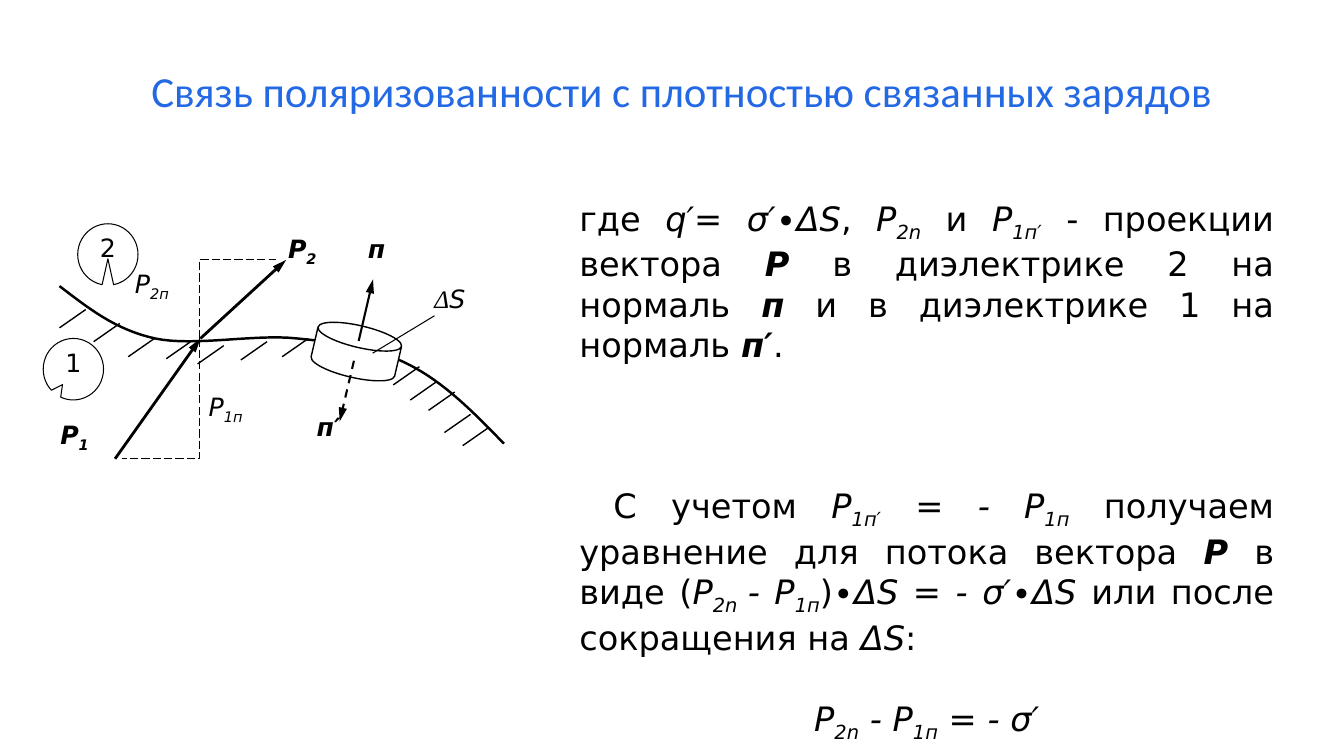
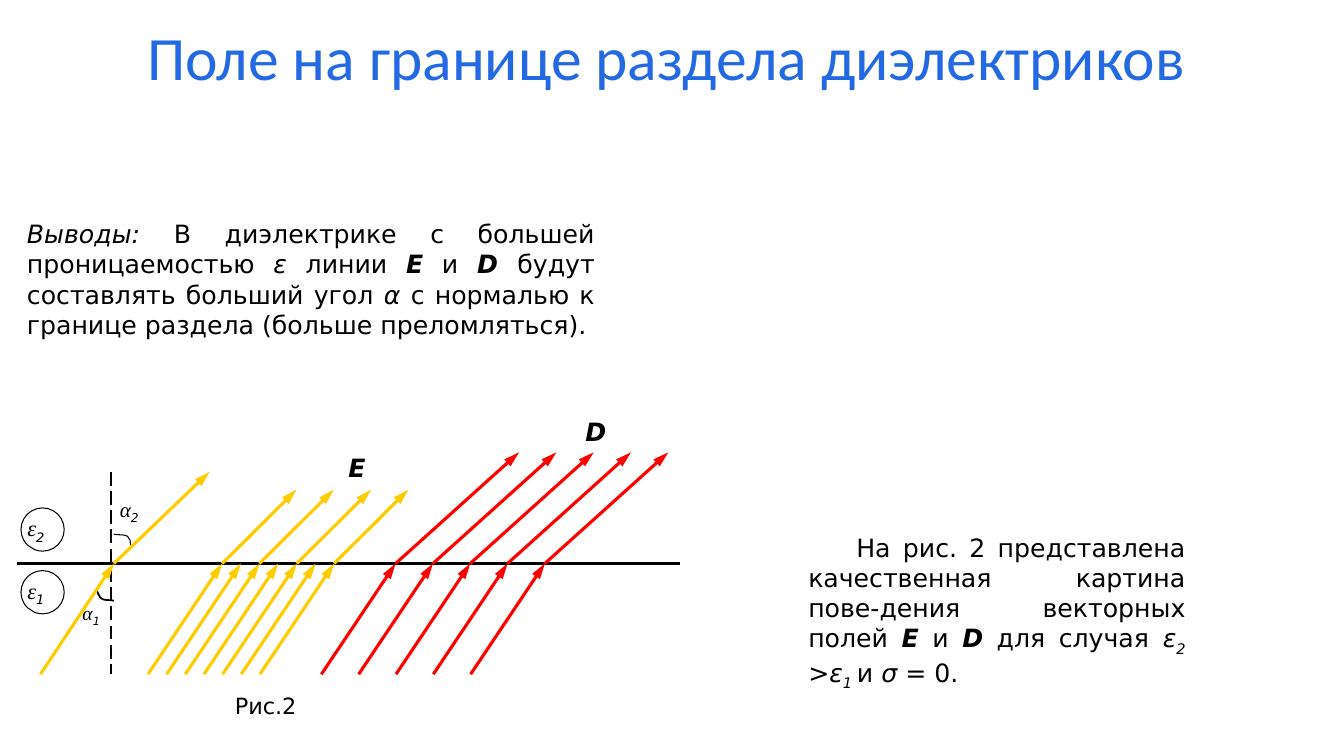
from dataclasses import dataclass
from typing import NamedTuple, Sequence

from pptx import Presentation
from pptx.dml.color import RGBColor
from pptx.enum.dml import MSO_LINE
from pptx.enum.shapes import MSO_CONNECTOR, MSO_SHAPE
from pptx.enum.text import MSO_ANCHOR, MSO_AUTO_SIZE, PP_ALIGN
from pptx.oxml.xmlchemy import OxmlElement
from pptx.shapes.base import BaseShape
from pptx.slide import Slide
from pptx.text.text import TextFrame
from pptx.util import Cm, Pt

# Shared look
COLORS = {"title": "2469E4", "ink": "000000", "paper": "FFFFFF",
          "field_e": "FFCC00", "field_d": "FF0000"}
TITLE_FONT, TEXT_FONT, GREEK_FONT = "Calibri", "DejaVu Sans", "Times New Roman"
LEFT, CENTER, JUSTIFY = PP_ALIGN.LEFT, PP_ALIGN.CENTER, PP_ALIGN.JUSTIFY
Point = tuple[float, float]


class Run(NamedTuple):
    text: str
    style: str = ""  # b bold, i italic, s subscript, g Greek font


class Box(NamedTuple):
    left: float
    top: float
    width: float
    height: float


@dataclass
class TextBlock:
    runs: Sequence[Run]
    align: PP_ALIGN = JUSTIFY
    space_before: float = 0
    indent: float = 0


@dataclass
class Label:
    box: Box
    runs: Sequence[Run]
    size: float = 18
    align: PP_ALIGN = LEFT


@dataclass
class Callout:
    label: Label
    adjustments: Sequence[float]
    kind: MSO_SHAPE = MSO_SHAPE.OVAL_CALLOUT


@dataclass
class RayBundle:
    first_x: float
    pitch: float
    count: int
    run_x: float
    from_y: float
    to_y: float
    color: str


def rgb(name: str) -> RGBColor:
    return RGBColor.from_string(COLORS[name])


# Text
def write(frame: TextFrame, blocks: Sequence[TextBlock], size: float) -> None:
    frame.word_wrap = True
    frame.vertical_anchor = MSO_ANCHOR.TOP
    for index, block in enumerate(blocks):
        paragraph = frame.add_paragraph() if index else frame.paragraphs[0]
        paragraph.alignment = block.align
        if block.space_before:
            paragraph.space_before = Pt(block.space_before)
        if block.indent:
            paragraph._p.get_or_add_pPr().set("indent", str(Cm(block.indent)))
        font = paragraph.font
        font.name, font.size = TEXT_FONT, Pt(size)
        font.color.rgb = rgb("ink")
        for text, style in block.runs:
            run = paragraph.add_run()
            run.text = text
            if "b" in style:
                run.font.bold = True
            if "i" in style:
                run.font.italic = True
            if "g" in style:
                run.font.name = GREEK_FONT
            if "s" in style:
                run._r.get_or_add_rPr().set("baseline", "-25000")


def write_label(frame: TextFrame, label: Label) -> None:
    frame.margin_left = frame.margin_top = Cm(0)
    frame.margin_right = frame.margin_bottom = Cm(0)
    write(frame, [TextBlock(label.runs, label.align)], label.size)


def add_label(slide: Slide, label: Label) -> None:
    textbox = slide.shapes.add_textbox(*map(Cm, label.box))
    write_label(textbox.text_frame, label)


def add_body(slide: Slide, box: Box, blocks: Sequence[TextBlock], size: float) -> None:
    frame = slide.shapes.add_textbox(*map(Cm, box)).text_frame
    write(frame, blocks, size)
    frame.auto_size = MSO_AUTO_SIZE.SHAPE_TO_FIT_TEXT


def set_title(slide: Slide, text: str, box: Box, size: float,
              align: PP_ALIGN, spacing: float) -> None:
    title = slide.shapes.title
    title.left, title.top, title.width, title.height = map(Cm, box)
    frame = title.text_frame
    frame.text = text
    frame.auto_size = MSO_AUTO_SIZE.NONE
    frame.vertical_anchor = MSO_ANCHOR.MIDDLE
    paragraph = frame.paragraphs[0]
    paragraph.alignment, paragraph.line_spacing = align, spacing
    paragraph.font.name, paragraph.font.size = TITLE_FONT, Pt(size)
    paragraph.font.color.rgb = rgb("title")


# Lines and shapes
def add_line(slide: Slide, start: Point, end: Point, width: float, color: str = "ink",
             dash: MSO_LINE | None = None, arrow: bool = False) -> None:
    connector = slide.shapes.add_connector(
        MSO_CONNECTOR.STRAIGHT, *map(Cm, (*start, *end)))
    line = connector.line
    line.color.rgb, line.width = rgb(color), Pt(width)
    if dash:
        line.dash_style = dash
    if arrow:
        tail = OxmlElement("a:tailEnd")
        for key, value in (("type", "triangle"), ("w", "med"), ("len", "lg")):
            tail.set(key, value)
        line._get_or_add_ln().append(tail)
    connector._element.spPr.append(OxmlElement("a:effectLst"))


def outline(shape: BaseShape, width: float) -> None:
    shape.shadow.inherit = False
    shape.fill.background()
    shape.line.color.rgb, shape.line.width = rgb("ink"), Pt(width)


def add_polyline(slide: Slide, points: Sequence[Point], width: float,
                 dash: MSO_LINE | None = None) -> None:
    first, *rest = [(Cm(x), Cm(y)) for x, y in points]
    builder = slide.shapes.build_freeform(*first, scale=1.0)
    builder.add_line_segments(rest, close=False)
    shape = builder.convert_to_shape()
    outline(shape, width)
    if dash:
        shape.line.dash_style = dash


def bezier(controls: Sequence[Point], steps: int = 16) -> list[Point]:
    """Points along a chain of cubic curves that share their end points."""
    points = [controls[0]]
    for first in range(0, len(controls) - 1, 3):
        segment = controls[first:first + 4]
        for step in range(1, steps + 1):
            t = step / steps
            weights = ((1 - t) ** 3, 3 * t * (1 - t) ** 2, 3 * t * t * (1 - t), t ** 3)
            points.append(tuple(sum(weight * point[axis] for weight, point
                                    in zip(weights, segment)) for axis in (0, 1)))
    return points


def add_callout(slide: Slide, callout: Callout) -> None:
    shape = slide.shapes.add_shape(callout.kind, *map(Cm, callout.label.box))
    outline(shape, 0.75)
    for index, value in enumerate(callout.adjustments):
        shape.adjustments[index] = value
    write_label(shape.text_frame, callout.label)


def add_rays(slide: Slide, bundle: RayBundle) -> None:
    for index in range(bundle.count):
        x = bundle.first_x + index * bundle.pitch
        add_line(slide, (x, bundle.from_y), (x + bundle.run_x, bundle.to_y),
                 2.25, bundle.color, arrow=True)


# Slide 1: polarization and bound charge
def build_polarization(slide: Slide) -> None:
    set_title(slide, "Связь поляризованности с плотностью связанных зарядов",
              Box(3.56, 1.5, 27.33, 1.78), 30.6, LEFT, 0.8)
    add_body(slide, Box(14.35, 4.85, 18.01, 12.57), [
        TextBlock([
            Run("где "), Run("q′= σ′∙ΔS", "i"), Run(", "), Run("P", "i"), Run("2n", "is"),
            Run(" и "), Run("Р", "i"), Run("1п′", "is"), Run(" - проекции вектора "),
            Run("Р", "bi"), Run(" в диэлектрике 2 на нормаль "), Run("п", "bi"),
            Run(" и в диэлектрике 1 на нормаль "), Run("п′", "bi"), Run(".")]),
        TextBlock([
            Run("С учетом "), Run("Р", "i"), Run("1п′", "is"), Run(" = - Р", "i"),
            Run("1п", "is"), Run(" получаем уравнение для потока вектора "),
            Run("Р", "bi"), Run(" в виде ("), Run("P", "i"), Run("2n ", "is"),
            Run("- Р", "i"), Run("1п", "is"), Run(")∙"), Run("ΔS = - σ′∙ΔS ", "i"),
            Run("или после сокращения на "), Run("ΔS", "i"), Run(":")],
            space_before=86, indent=0.86),
        TextBlock([
            Run("P", "i"), Run("2n", "is"), Run(" - Р", "i"), Run("1п", "is"),
            Run(" = - σ′", "i")], CENTER, space_before=29),
    ], 24)

    # Boundary with hatching
    add_polyline(slide, bezier([
        (1.5, 7.21), (2.21, 7.75), (2.9, 8.31), (3.91, 8.53), (4.9, 8.74),
        (6.43, 8.41), (7.49, 8.53), (8.56, 8.64), (9.42, 8.74), (10.31, 9.19),
        (11.18, 9.63), (11.94, 10.39), (12.7, 11.18)]), 1.75)
    hatching = {
        1: [(1.5, 8.26), (2.36, 8.61), (3.23, 8.99), (4.19, 9.04), (4.98, 9.17),
            (6.07, 9.07), (7.11, 8.99), (9.91, 9.7), (10.34, 10.08), (10.8, 10.34),
            (11.2, 10.9), (11.66, 11.23)],
        0.75: [(7.98, 9.04), (8.81, 9.25), (9.3, 9.45)],
    }
    for width, starts in hatching.items():
        for x, y in starts:
            add_line(slide, (x, y), (x + 0.66, y - 0.46), width)

    # Cylinder with its normals
    cylinder = slide.shapes.add_shape(
        MSO_SHAPE.CAN, *map(Cm, Box(7.9, 8.2, 2.16, 1.32)))
    outline(cylinder, 1)
    cylinder.fill.solid()
    cylinder.fill.fore_color.rgb = rgb("paper")
    cylinder.adjustments[0] = 0.417
    cylinder.rotation = 13.1
    add_line(slide, (9.04, 8.59), (9.4, 7.04), 1.5, arrow=True)
    add_line(slide, (8.92, 9.09), (8.56, 10.62), 1.5, dash=MSO_LINE.DASH, arrow=True)

    # Polarization vectors and projections
    add_line(slide, (5.05, 8.53), (7.21, 6.55), 2, arrow=True)
    add_line(slide, (2.9, 11.56), (5.05, 8.53), 2, arrow=True)
    for end_x, y in ((3.07, 11.56), (6.96, 6.55)):
        add_polyline(slide, [(5.03, 8.53), (5.03, y), (end_x, y)], 0.75,
                     MSO_LINE.LONG_DASH)

    for label in (
        Label(Box(3.4, 6.76, 1.96, 1.24), [Run("Р", "i"), Run("2п", "is")]),
        Label(Box(5.26, 9.86, 1.85, 1.24), [Run("Р", "i"), Run("1п", "is")]),
        Label(Box(7.98, 10.36, 1.22, 1.24), [Run("п′", "bi")]),
        Label(Box(9.27, 5.89, 0.86, 1.24), [Run("п", "bi")]),
        Label(Box(1.52, 10.57, 1.3, 1.24), [Run("Р", "bi"), Run("1", "bis")]),
        Label(Box(7.26, 5.87, 1.3, 1.65), [Run("Р", "bi"), Run("2", "bis")]),
    ):
        add_label(slide, label)
    for callout in (
        Callout(Label(Box(1.96, 5.64, 1.52, 1.55), [Run("2")], align=CENTER), (0, 0.07)),
        Callout(Label(Box(1.09, 8.53, 1.52, 1.55), [Run("1")], align=CENTER),
                (-0.18, 0.25)),
        Callout(Label(Box(10.95, 7.14, 1.32, 1.24), [Run("Δ", "ig"), Run("S", "i")]),
                (0.66, 0, 1.42, -1.18), MSO_SHAPE.LINE_CALLOUT_1_NO_BORDER),
    ):
        add_callout(slide, callout)


# Slide 2: field lines at the boundary
def build_boundary(slide: Slide) -> None:
    set_title(slide, "Поле на границе раздела диэлектриков",
              Box(0.43, 0.79, 32.74, 1.7), 44, CENTER, 0.7)
    add_body(slide, Box(20.12, 13.28, 10.01, 3.4), [TextBlock([
        Run("На рис. 2 представлена качественная картина пове-дения векторных полей "),
        Run("Е", "bi"), Run(" и "), Run("D", "bi"), Run(" для случая "), Run("ε", "i"),
        Run("2 ", "is"), Run(">ε", "i"), Run("1 ", "is"), Run("и "), Run("σ =", "i"),
        Run(" 0.")], indent=1.21)], 18)
    add_body(slide, Box(0.43, 5.38, 14.81, 3.33), [TextBlock([
        Run("Выводы: ", "i"), Run("В диэлектрике с большей проницаемостью "),
        Run("ε", "i"), Run(" линии "), Run("Е", "bi"), Run(" и "), Run("D ", "bi"),
        Run("будут составлять больший угол "), Run("α", "i"),
        Run(" с нормалью к границе раздела (больше преломляться).")])], 18)

    # Boundary, normal and angle arcs
    boundary, bottom = 14.2, 16.99
    add_line(slide, (0.43, boundary), (17.15, boundary), 2.25)
    add_line(slide, (2.79, 11.89), (2.79, bottom), 1.25, dash=MSO_LINE.LONG_DASH)
    add_polyline(slide, bezier([
        (2.87, 13.46), (2.97, 13.49), (3.1, 13.46), (3.2, 13.51), (3.23, 13.51),
        (3.25, 13.59), (3.28, 13.61), (3.28, 13.67), (3.3, 13.74), (3.3, 13.74)]), 0.75)
    add_polyline(slide, bezier([
        (2.87, 15.14), (2.77, 15.11), (2.67, 15.14), (2.57, 15.09), (2.51, 15.06),
        (2.51, 15.01), (2.49, 14.99), (2.46, 14.94), (2.44, 14.86), (2.44, 14.86)]), 1.25)

    # Field lines below and above the boundary
    pitch = 0.94
    for bundle in (
        RayBundle(1.02, 0, 1, 1.85, bottom, boundary, "field_e"),
        RayBundle(2.87, 0, 1, 2.41, boundary, 11.89, "field_e"),
        RayBundle(3.73, pitch / 2, 7, 1.87, bottom, boundary, "field_e"),
        RayBundle(5.6, pitch, 4, 1.87, boundary, 12.34, "field_e"),
        RayBundle(8.1, pitch, 5, 1.87, bottom, boundary, "field_d"),
        RayBundle(9.97, pitch, 5, 3.11, boundary, 11.4, "field_d"),
    ):
        add_rays(slide, bundle)

    for label in (
        Label(Box(7.7, 11.4, 2.59, 0.94), [Run("Е", "bi")], align=CENTER),
        Label(Box(13.72, 10.49, 2.59, 0.94), [Run("D", "bi")], align=CENTER),
        Label(Box(2.08, 15.14, 0.79, 0.79), [Run("α", "ig"), Run("1", "is")], 14),
        Label(Box(3.02, 12.5, 0.79, 0.79), [Run("α", "ig"), Run("2", "is")], 15),
        Label(Box(5.92, 17.45, 2.49, 0.81), [Run("Рис.2")], 16),
    ):
        add_label(slide, label)
    for top, number in ((14.38, "1"), (12.8, "2")):
        runs = [Run("ε", "ig"), Run(number, "is")]
        add_callout(slide, Callout(Label(Box(0.53, top, 1.09, 1.09), runs, 16),
                                   (-0.27, 0.41)))


def main() -> None:
    presentation = Presentation()
    presentation.slide_width, presentation.slide_height = Cm(33.87), Cm(19.05)
    title_only = presentation.slide_layouts[5]
    for build in (build_polarization, build_boundary):
        build(presentation.slides.add_slide(title_only))
    presentation.save("out.pptx")


if __name__ == "__main__":
    main()
